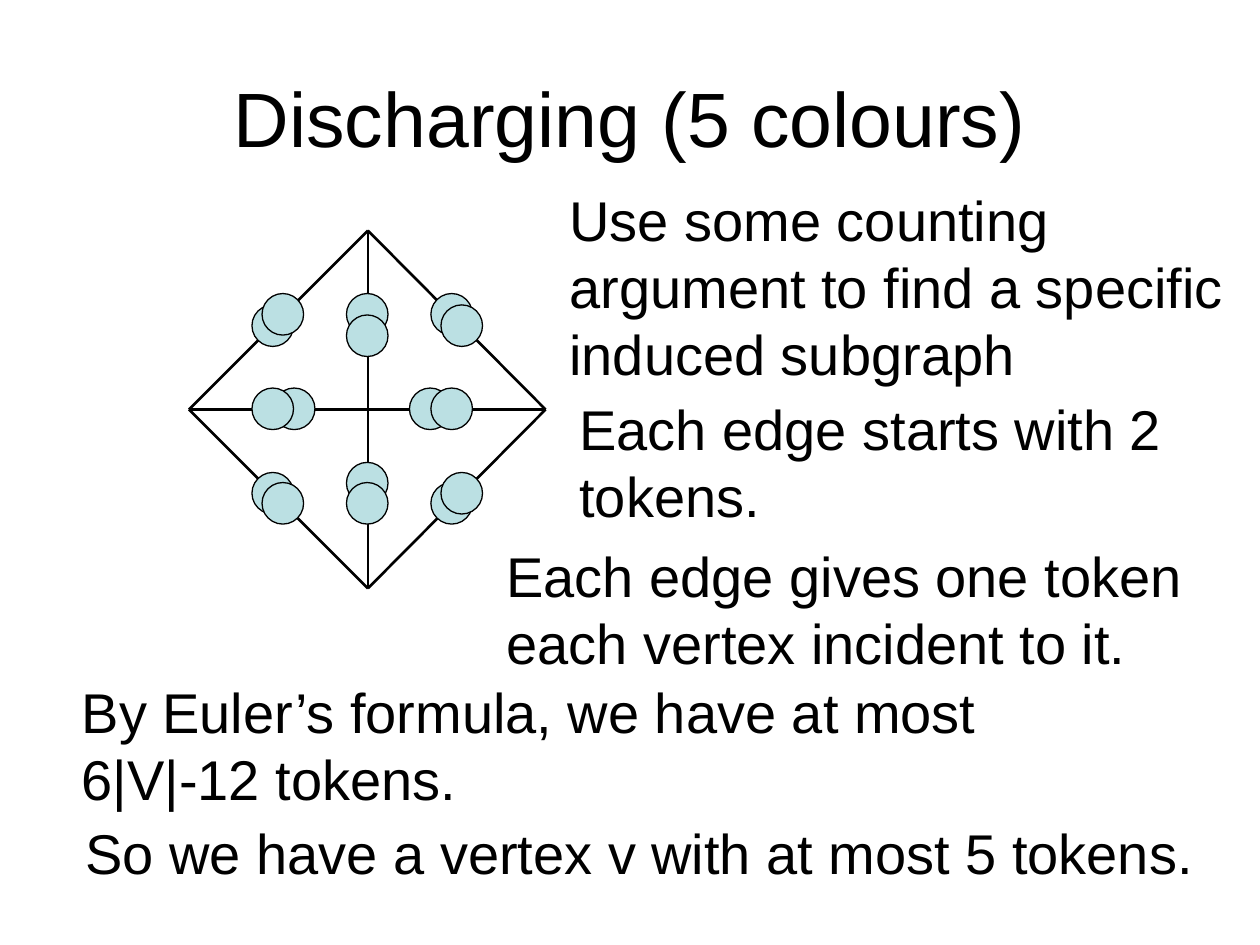
import pptx
import pptx.dml.color
import pptx.enum.shapes
import pptx.enum.text
import pptx.oxml.ns
import pptx.util
from lxml import etree
from pptx.util import Inches

BLACK = "000000"
TOKEN_FILL = "BBE0E3"
TOKEN_SIZE = 0.33

TOP, RIGHT, BOTTOM, LEFT = (2.92, 1.83), (4.33, 3.25), (2.92, 4.67), (1.5, 3.25)
EDGES = [(TOP, LEFT), (TOP, RIGHT), (LEFT, BOTTOM), (BOTTOM, RIGHT),
         (TOP, BOTTOM), (LEFT, RIGHT)]

# Left and top of the back and the front token of each pair
TOKEN_PAIRS = [
    ((2.17, 3.08), (2, 3.08)),
    ((3.25, 3.08), (3.42, 3.08)),
    ((2.75, 2.33), (2.75, 2.5)),
    ((2.75, 3.67), (2.75, 3.83)),
    ((2, 2.42), (2.08, 2.33)),
    ((3.42, 3.83), (3.5, 3.75)),
    ((3.42, 2.33), (3.5, 2.42)),
    ((2, 3.75), (2.08, 3.83)),
]

STATEMENTS = [
    (4.5, 3.08, 5.75, 1.17, ["Each edge starts with 2 tokens."]),
    (3.92, 4.25, 5.83, 1.17,
     ["Each edge gives one token each vertex incident to it."]),
    (0.55, 5.33, 8.78, 1.17,
     ["By Euler’s formula, we have at most", "6|V|-12 tokens."]),
    (4.42, 1.42, 5.42, 1.7,
     ["Use some counting argument to find a specific induced subgraph"]),
    (0.58, 6.45, 9.17, 0.64, ["So we have a vertex v with at most 5 tokens."]),
]


def color(hex_string):
    return pptx.dml.color.RGBColor.from_string(hex_string)


def add_run(paragraph, text, size):
    run = paragraph.add_run()
    run.text = text
    run.font.name = "Arial"
    run.font.size = pptx.util.Pt(size)
    run.font.color.rgb = color(BLACK)


def set_title(slide, text):
    title = slide.shapes.title
    title.left, title.top = Inches(0.5), Inches(0.3)
    title.width, title.height = Inches(9), Inches(1.25)
    title.text_frame.vertical_anchor = pptx.enum.text.MSO_ANCHOR.MIDDLE
    paragraph = title.text_frame.paragraphs[0]
    paragraph.alignment = pptx.enum.text.PP_ALIGN.CENTER
    add_run(paragraph, text, 44)


def add_edge(slide, start, end):
    edge = slide.shapes.add_connector(
        pptx.enum.shapes.MSO_CONNECTOR.STRAIGHT,
        *(Inches(value) for value in start + end))
    edge.line.color.rgb = color(BLACK)
    edge.line.width = pptx.util.Pt(1.5)
    etree.SubElement(edge._element.spPr, pptx.oxml.ns.qn("a:effectLst"))


def add_token(slide, left, top):
    token = slide.shapes.add_shape(
        pptx.enum.shapes.MSO_SHAPE.OVAL, Inches(left), Inches(top),
        Inches(TOKEN_SIZE), Inches(TOKEN_SIZE))
    token.shadow.inherit = False
    token.fill.solid()
    token.fill.fore_color.rgb = color(TOKEN_FILL)
    token.line.color.rgb = color(BLACK)
    token.line.width = pptx.util.Pt(0.75)


def add_statement(slide, left, top, width, height, lines):
    box = slide.shapes.add_textbox(
        Inches(left), Inches(top), Inches(width), Inches(height))
    frame = box.text_frame
    frame.word_wrap = True
    frame.auto_size = pptx.enum.text.MSO_AUTO_SIZE.SHAPE_TO_FIT_TEXT
    for index, line in enumerate(lines):
        paragraph = frame.add_paragraph() if index else frame.paragraphs[0]
        add_run(paragraph, line, 32)


def main():
    presentation = pptx.Presentation()
    presentation.slide_width = Inches(10)
    presentation.slide_height = Inches(7.5)
    slide = presentation.slides.add_slide(presentation.slide_layouts[5])
    set_title(slide, "Discharging (5 colours)")
    for start, end in EDGES:
        add_edge(slide, start, end)
    for pair in TOKEN_PAIRS:
        for left, top in pair:
            add_token(slide, left, top)
    for statement in STATEMENTS:
        add_statement(slide, *statement)
    presentation.save("out.pptx")


if __name__ == "__main__":
    main()
